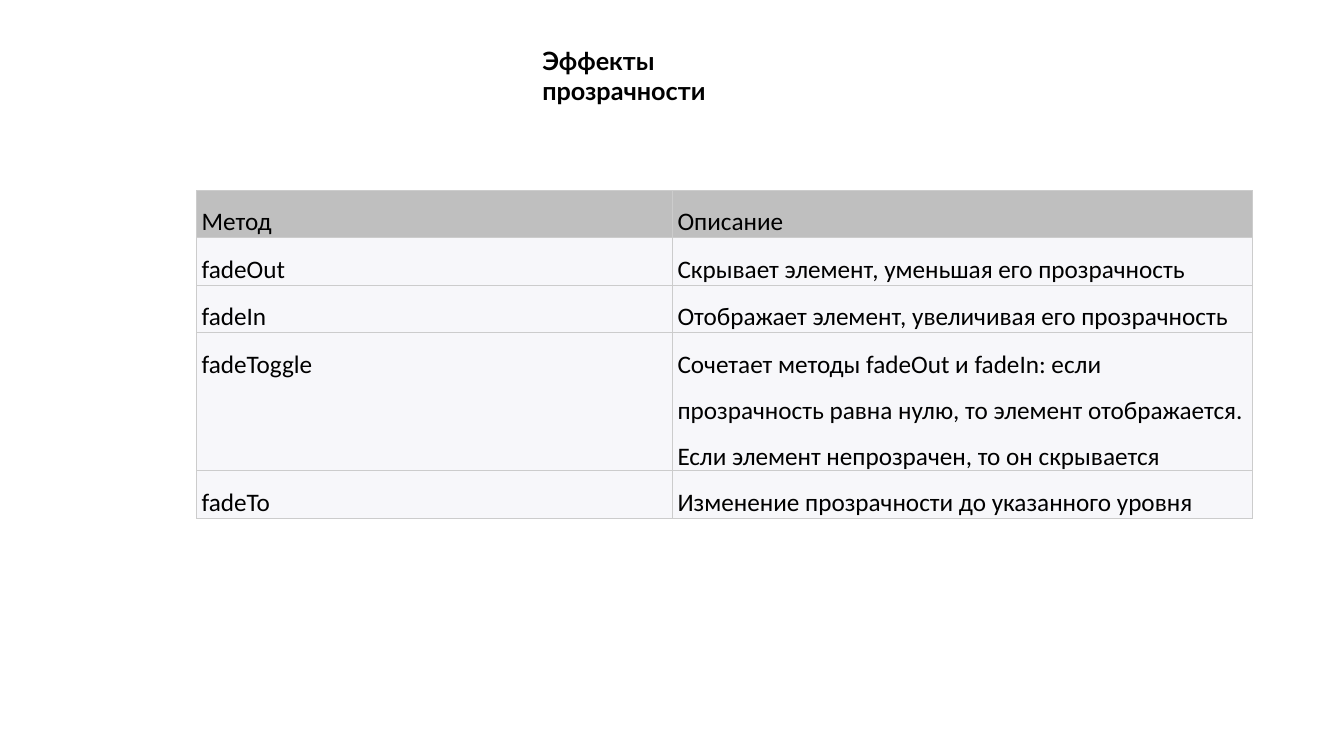
from lxml import etree
from pptx import Presentation
from pptx import util as u
from pptx.dml.color import RGBColor
from pptx.enum import text
from pptx.oxml import ns

METHODS = [
    ("Метод", "Описание"),
    ("fadeOut", "Скрывает элемент, уменьшая его прозрачность"),
    ("fadeIn", "Отображает элемент, увеличивая его прозрачность"),
    ("fadeToggle", "Сочетает методы fadeOut и fadeIn: если прозрачность равна нулю, "
                   "то элемент отображается. Если элемент непрозрачен, то он скрывается"),
    ("fadeTo", "Изменение прозрачности до указанного уровня"),
]
COLUMN_WIDTHS = (4.72, 5.75)
ROW_HEIGHTS = (0.47, 0.47, 0.47, 1.37, 0.47)


def color(value):
    return RGBColor.from_string(value)


def set_font(para, name, bold=False):
    para.font.name = name
    para.font.size = u.Pt(18)
    para.font.bold = bold
    para.font.color.rgb = color("000000")


def add_borders(cell, value):
    properties = cell._tc.get_or_add_tcPr()
    for index, side in enumerate(("lnL", "lnR", "lnT", "lnB")):
        line = etree.Element(ns.qn(f"a:{side}"), w=str(u.Pt(0.75)))
        fill = etree.SubElement(line, ns.qn("a:solidFill"))
        etree.SubElement(fill, ns.qn("a:srgbClr"), val=value)
        properties.insert(index, line)  # borders come before the fill


def add_title(page, left, top, width, height):
    box = page.shapes.add_textbox(*map(u.Inches, (left, top, width, height)))
    frame = box.text_frame
    frame.word_wrap = True
    frame.auto_size = text.MSO_AUTO_SIZE.SHAPE_TO_FIT_TEXT
    frame.text = "Эффекты прозрачности"
    set_font(frame.paragraphs[0], "Lato", bold=True)


def fill_cell(cell, content, fill):
    cell.margin_left, cell.margin_right = u.Inches(0.05), u.Inches(0.03)
    cell.margin_top = cell.margin_bottom = u.Inches(0.01)
    cell.fill.solid()
    cell.fill.fore_color.rgb = color(fill)
    add_borders(cell, "CCCCCC")
    cell.text = content
    para = cell.text_frame.paragraphs[0]
    para.line_spacing = 1.5
    set_font(para, "Calibri")


def add_methods_table(page, left, top):
    size = (sum(COLUMN_WIDTHS), sum(ROW_HEIGHTS))
    frame = page.shapes.add_table(len(METHODS), len(COLUMN_WIDTHS),
                                  *map(u.Inches, (left, top, *size)))
    table = frame.table
    table.horz_banding = False
    for column, width in zip(table.columns, COLUMN_WIDTHS):
        column.width = u.Inches(width)
    for index, (row, height) in enumerate(zip(table.rows, ROW_HEIGHTS)):
        row.height = u.Inches(height)
        fill = "F7F7FA" if index else "BFBFBF"
        for cell, content in zip(row.cells, METHODS[index]):
            fill_cell(cell, content, fill)


def main():
    deck = Presentation()
    deck.slide_width, deck.slide_height = u.Inches(13.33), u.Inches(7.5)
    page = deck.slides.add_slide(deck.slide_layouts[6])

    # Heading
    add_title(page, 5.28, 0.4, 2.78, 0.71)
    # Methods and what they do
    add_methods_table(page, 1.95, 1.89)

    deck.save("out.pptx")


if __name__ == "__main__":
    main()
